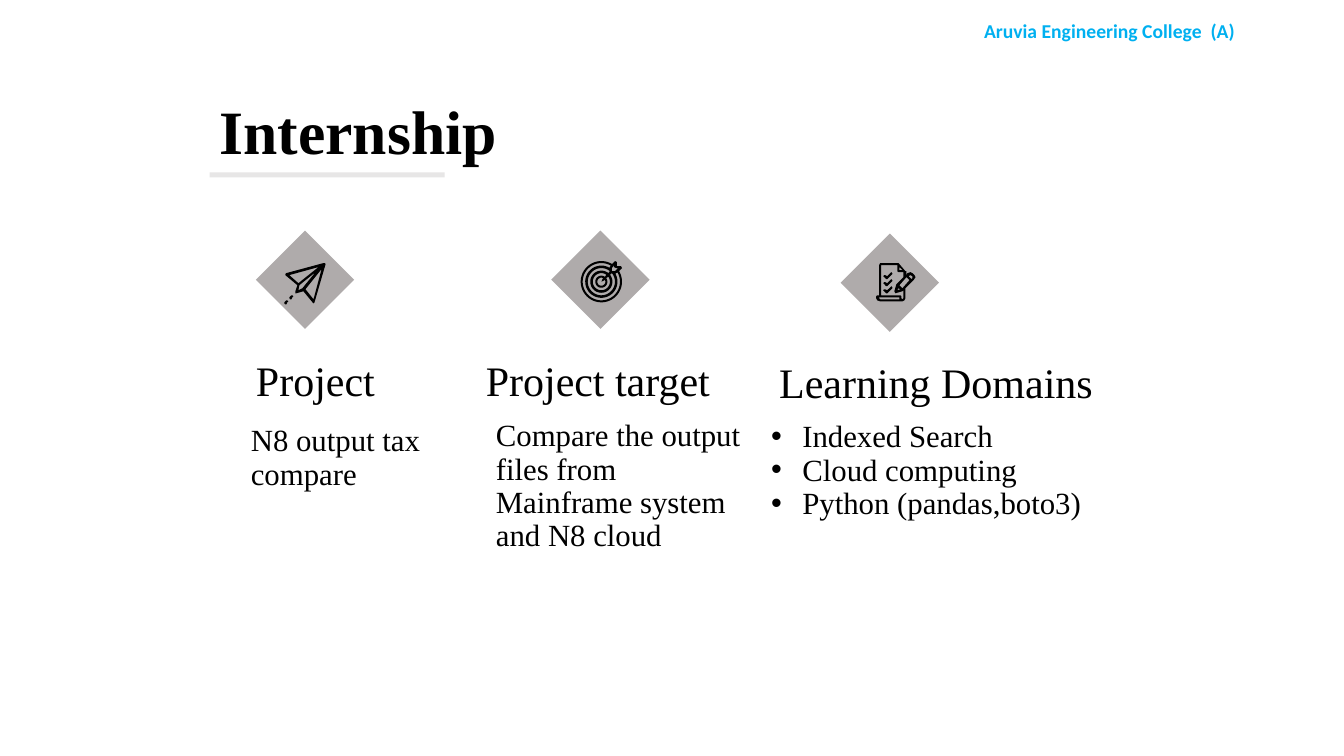
from dataclasses import dataclass
from math import cos, radians, sin

from lxml.etree import SubElement
from pptx import Presentation
from pptx.dml.color import RGBColor
from pptx.enum.shapes import MSO_SHAPE as SHAPE
from pptx.enum.text import MSO_ANCHOR as ANCHOR, PP_ALIGN as ALIGN
from pptx.oxml.ns import qn
from pptx.util import Inches, Pt

BLACK = RGBColor(0x00, 0x00, 0x00)
SKY = RGBColor(0x00, 0xB0, 0xF0)
GREY = RGBColor(0xAF, 0xAB, 0xAB)
PALE = RGBColor(0xE7, 0xE6, 0xE6)

Point = tuple[float, float]
Contour = list[Point]
Box = tuple[float, float, float, float]

HEADER = dict(name="Calibri", size=Pt(14), bold=True)
TITLE = dict(name="Times New Roman", size=Pt(44), bold=True)
HEADING = dict(name="Times New Roman", size=Pt(30))
BODY = dict(name="Times New Roman", size=Pt(22))

DIAMOND = 0.69
BULLET_INDENT = Inches(0.31)


@dataclass
class Topic:
    heading: str
    heading_box: Box
    lines: list[str]
    body_box: Box
    diamond_at: Point
    icon: list[list[Contour]]
    bulleted: bool = False


def arc(center: Point, radius: float, start: float, end: float) -> Contour:
    """Points along an arc, angles in degrees clockwise from the right."""
    steps = 48
    angles = [radians(start + (end - start) * i / steps) for i in range(steps + 1)]
    return [(center[0] + radius * cos(a), center[1] + radius * sin(a)) for a in angles]


def target_icon() -> list[list[Contour]]:
    """Rings cut from a disc, leaving the arrow shaft whole at -45 degrees."""
    center = (5.965, 2.795)
    arrow = [(6.07, 2.62), (6.1, 2.59), (6.12, 2.6), (6.12, 2.64),
             (6.16, 2.64), (6.17, 2.66), (6.14, 2.69)]
    arrow_hole = [(6.09, 2.63), (6.09, 2.65), (6.11, 2.66), (6.13, 2.66),
                  (6.1, 2.69), (6.07, 2.69), (6.07, 2.66)]
    contours = [arc(center, 0.205, -31, 301) + arrow, arrow_hole]
    for outer, inner, gap in [(0.185, 0.16, 15), (0.135, 0.11, 6),
                              (0.085, 0.06, 9), (0.04, 0, 20)]:
        start, end = -45 + gap, 315 - gap
        contours.append(arc(center, outer, start, end) + arc(center, inner, end, start))
    return [contours]


def plane_icon() -> list[list[Contour]]:
    plane = [
        [(3.21, 2.61), (2.84, 2.71), (2.83, 2.72), (2.83, 2.73), (2.95, 2.83),
         (2.93, 2.89), (2.93, 2.91), (2.94, 2.91), (3.01, 2.89), (3.1, 3),
         (3.11, 3.01), (3.12, 3), (3.23, 2.62), (3.22, 2.61)],
        [(3.16, 2.65), (2.96, 2.81), (2.87, 2.73)],
        [(3.13, 2.7), (3, 2.86), (2.96, 2.88), (2.97, 2.83)],
        [(3.19, 2.67), (3.11, 2.97), (3.03, 2.87)],
    ]
    dash = [(2.85, 2.98), (2.84, 2.98), (2.82, 3), (2.82, 3.01), (2.83, 3.02),
            (2.84, 3.02), (2.85, 3), (2.86, 2.99)]
    return [plane] + [[[(x + d, y - d) for x, y in dash]] for d in (0, 0.05)]


def checklist_icon() -> list[list[Contour]]:
    page = [
        [(8.73, 2.61), (8.72, 2.63), (8.72, 2.93), (8.7, 2.93), (8.69, 2.94),
         (8.69, 2.96), (8.7, 2.98), (8.73, 2.99), (8.95, 2.99), (8.97, 2.98),
         (8.98, 2.96), (8.98, 2.86), (9.06, 2.78), (9.08, 2.75), (9.07, 2.73),
         (9.05, 2.71), (9.03, 2.7), (9, 2.71), (8.99, 2.73), (8.99, 2.69),
         (8.98, 2.69), (8.92, 2.62), (8.91, 2.61)],
        [(8.92, 2.65), (8.95, 2.68), (8.92, 2.68)],
        [(9.03, 2.73), (9.05, 2.74), (9.05, 2.76), (9.04, 2.77), (9.01, 2.74)],
        [(8.99, 2.75), (9.02, 2.78), (8.95, 2.86), (8.92, 2.83)],
        [(8.91, 2.86), (8.93, 2.87), (8.9, 2.88)],
        [(8.92, 2.95), (8.92, 2.97), (8.73, 2.97), (8.72, 2.96), (8.72, 2.95)],
        [(8.9, 2.63), (8.9, 2.69), (8.91, 2.7), (8.96, 2.7), (8.96, 2.75),
         (8.89, 2.82), (8.87, 2.89), (8.88, 2.91), (8.95, 2.89), (8.96, 2.88),
         (8.96, 2.96), (8.95, 2.97), (8.94, 2.96), (8.94, 2.94), (8.93, 2.93),
         (8.74, 2.93), (8.74, 2.63)],
    ]
    check = [(8.84, 2.7), (8.83, 2.71), (8.8, 2.74), (8.78, 2.73), (8.77, 2.73),
             (8.76, 2.74), (8.79, 2.77), (8.8, 2.77), (8.85, 2.72), (8.85, 2.71)]
    return [page] + [[[(x, y + d) for x, y in check]] for d in (0, 0.07, 0.14)]


def paint(sp, color: RGBColor) -> None:
    sp.shadow.inherit = False
    sp.fill.solid()
    sp.fill.fore_color.rgb = color
    sp.line.fill.background()


def add_rect(slide, box: Box, color: RGBColor, rotation: float = 0) -> None:
    sp = slide.shapes.add_shape(SHAPE.RECTANGLE, *map(Inches, box))
    sp.rotation = rotation
    paint(sp, color)


def add_outline(slide, contours: list[Contour]) -> None:
    """One black freeform; contours after the first cut holes in it."""
    first, *holes = [[(Inches(x), Inches(y)) for x, y in c] for c in contours]
    builder = slide.shapes.build_freeform(*first[0])
    builder.add_line_segments(first[1:], close=True)
    for hole in holes:
        builder.move_to(*hole[0])
        builder.add_line_segments(hole[1:], close=True)
    paint(builder.convert_to_shape(), BLACK)


def add_bullet(p) -> None:
    pPr = p._p.get_or_add_pPr()
    pPr.set("marL", str(BULLET_INDENT))
    pPr.set("indent", str(-BULLET_INDENT))
    SubElement(pPr, qn("a:buFont")).set("typeface", "Arial")
    SubElement(pPr, qn("a:buChar")).set("char", "•")


def add_text(slide, box: Box, lines: list[str], font: dict, color: RGBColor = BLACK,
             align: ALIGN = ALIGN.LEFT, anchor: ANCHOR = ANCHOR.TOP,
             spacing: float = 0.9, inset: float = 0.1, bulleted: bool = False) -> None:
    tf = slide.shapes.add_textbox(*map(Inches, box)).text_frame
    frame = dict(word_wrap=True, vertical_anchor=anchor,
                 margin_top=Inches(inset), margin_bottom=Inches(inset))
    for key, value in frame.items():
        setattr(tf, key, value)
    for i, line in enumerate(lines):
        p = tf.add_paragraph() if i else tf.paragraphs[0]
        p.alignment, p.line_spacing = align, spacing
        if bulleted:
            add_bullet(p)
        r = p.add_run()
        r.text = line
        for key, value in font.items():
            setattr(r.font, key, value)
        r.font.color.rgb = color


def add_topic(slide, topic: Topic) -> None:
    add_rect(slide, (*topic.diamond_at, DIAMOND, DIAMOND), GREY, 45)
    for contours in topic.icon:
        add_outline(slide, contours)
    add_text(slide, topic.heading_box, [topic.heading], HEADING)
    add_text(slide, topic.body_box, topic.lines, BODY, bulleted=topic.bulleted)


TOPICS = [
    Topic("Project", (2.44, 3.47, 2.72, 0.81), ["N8 output tax compare"],
          (2.39, 4.12, 2.33, 1.54), (2.68, 2.43), plane_icon()),
    Topic("Project target", (4.72, 3.47, 2.96, 0.81),
          ["Compare the output files from Mainframe system and N8 cloud"],
          (4.82, 4.07, 2.72, 1.85), (5.61, 2.43), target_icon()),
    Topic("Learning Domains", (7.63, 3.49, 3.95, 0.81),
          ["Indexed Search", "Cloud computing", "Python (pandas,boto3)"],
          (7.55, 4.08, 3.67, 1.54), (8.48, 2.46), checklist_icon(), bulleted=True),
]


def main() -> None:
    prs = Presentation()
    prs.slide_width, prs.slide_height = Inches(13.33), Inches(7.5)
    slide = prs.slides.add_slide(prs.slide_layouts[6])
    add_text(slide, (9.09, 0.14, 3.83, 0.34), ["Aruvia Engineering College  (A)"],
             HEADER, SKY, ALIGN.CENTER, spacing=1.0, inset=0.05)
    add_text(slide, (2.08, 1.04, 8.44, 0.59), ["Internship"], TITLE, anchor=ANCHOR.MIDDLE)
    add_rect(slide, (2.08, 1.71, 2.33, 0.05), PALE)
    for topic in TOPICS:
        add_topic(slide, topic)
    prs.save("out.pptx")


if __name__ == "__main__":
    main()
